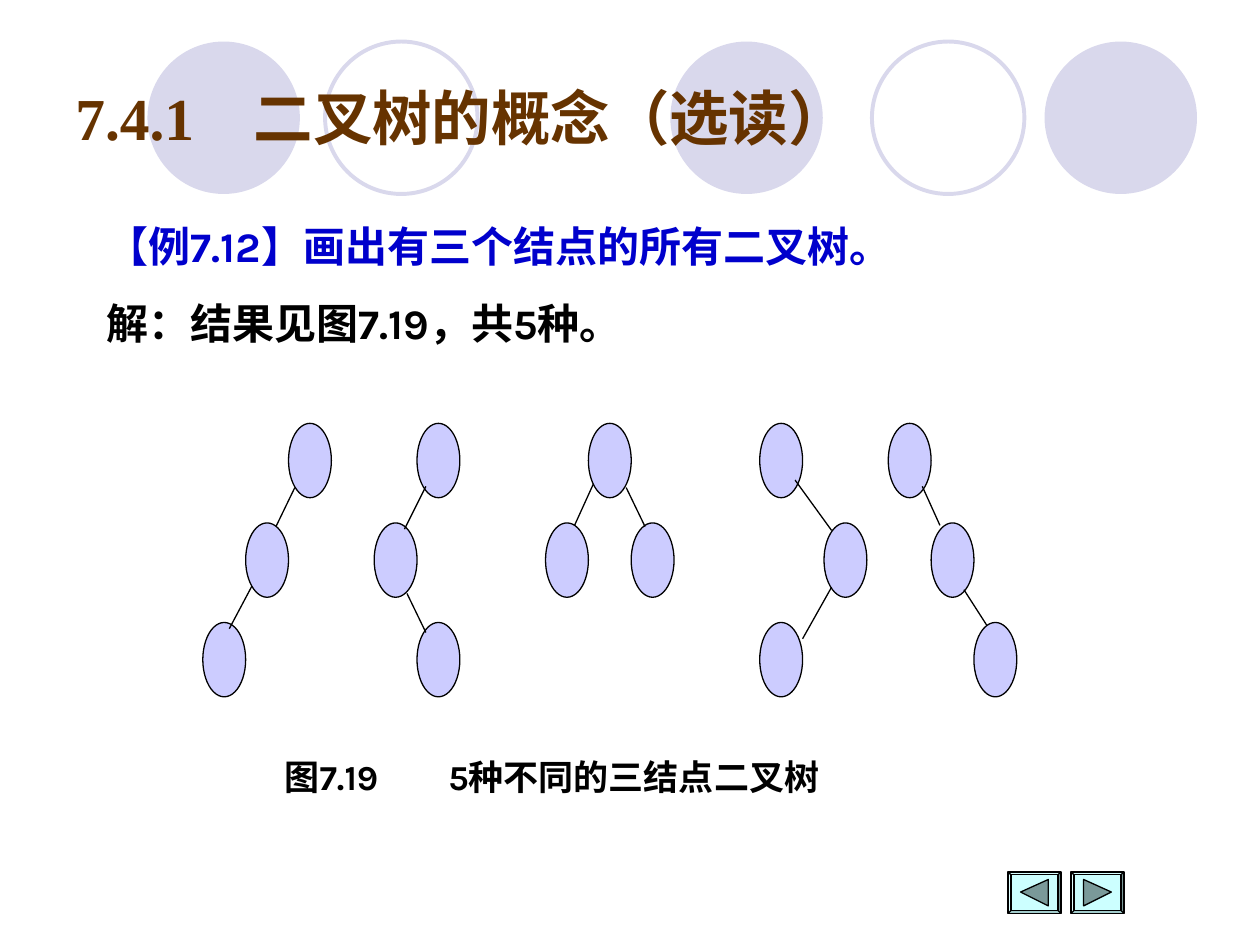
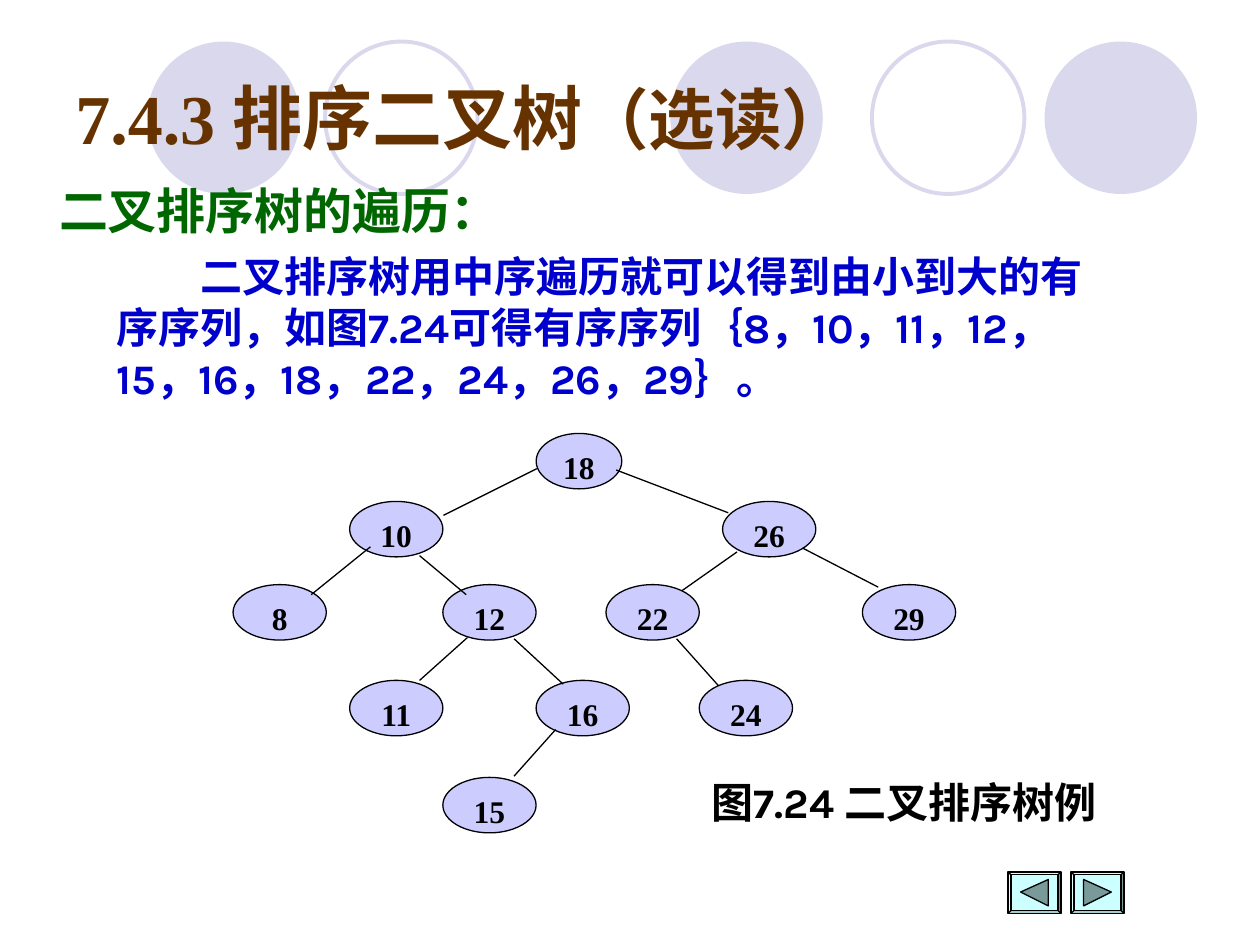
import itertools

import lxml.etree
import pptx
import pptx.dml.color
import pptx.enum.shapes
import pptx.enum.text
import pptx.oxml.ns
import pptx.util

RGBColor = pptx.dml.color.RGBColor
SHAPE = pptx.enum.shapes.MSO_SHAPE
ANCHOR = pptx.enum.text.MSO_ANCHOR
ALIGN = pptx.enum.text.PP_ALIGN

# Shared look
LAVENDER = RGBColor(0xD9, 0xD8, 0xEC)
NODE_FILL = RGBColor(0xCC, 0xCC, 0xFF)
BUTTON_FILL = RGBColor(0xCC, 0xFF, 0xFF)
ARROW_FILL = RGBColor(0x7A, 0x99, 0x99)
BROWN = RGBColor(0x66, 0x33, 0x00)
BLUE = RGBColor(0x00, 0x00, 0xCC)
GREEN = RGBColor(0x00, 0x66, 0x00)
BLACK = RGBColor(0x00, 0x00, 0x00)
SERIF, SANS, DIGITS = "Times New Roman", "Arial", "Karla"
LINE_HEIGHT = 1.21

# The slide is a grid of 10 columns and 7.5 rows
COLUMNS, ROWS = 10, 7.5
WIDTH, HEIGHT = pptx.util.Inches(10), pptx.util.Inches(7.5)

# Header circles: left column and whether filled
CIRCLES = [(1.17, True), (2.58, False), (5.32, True), (6.92, False), (8.29, True)]

# Five trees of three nodes: (column, row) on the tree grid
SMALL_NODES = [
    (2, 0), (1, 1), (0, 2),
    (5, 0), (4, 1), (5, 2),
    (9, 0), (8, 1), (10, 1),
    (13, 0), (14.5, 1), (13, 2),
    (16, 0), (17, 1), (18, 2),
]
SMALL_EDGES = [
    (2.34, 3.87, 2.19, 4.18), (2, 4.65, 1.82, 4.99),
    (3.38, 3.86, 3.21, 4.2), (3.38, 5.02, 3.23, 4.71),
    (4.71, 3.84, 4.56, 4.17), (4.97, 3.87, 5.12, 4.18),
    (6.31, 3.81, 6.6, 4.21), (6.6, 4.66, 6.37, 5.07),
    (7.32, 3.86, 7.46, 4.17), (7.65, 4.68, 7.83, 4.96),
]

# Search tree: number -> (column, level)
SEARCH_LEVELS = [3.44, 3.98, 4.64, 5.4, 6.17]
SEARCH_NODES = {
    18: (13, 0), 10: (5, 1), 26: (21, 1),
    8: (0, 2), 12: (9, 2), 22: (16, 2), 29: (27, 2),
    11: (5, 3), 16: (13, 3), 24: (20, 3), 15: (9, 4),
}
SEARCH_EDGES = [
    (3.52, 4.09, 4.26, 3.72), (2.47, 4.72, 2.94, 4.34),
    (3.33, 5.4, 3.71, 5.06), (4.08, 6.16, 4.41, 5.79),
    (3.33, 4.41, 3.7, 4.72), (4.08, 5.07, 4.47, 5.43),
    (4.89, 3.73, 5.78, 4.07), (6.37, 4.35, 6.97, 4.66),
    (5.41, 4.69, 5.85, 4.38), (5.37, 5.07, 5.7, 5.44),
]


def across(columns):
    return int(WIDTH * columns / COLUMNS)


def down(rows):
    return int(HEIGHT * rows / ROWS)


def place(left, top, width, height):
    return across(left), down(top), across(width), down(height)


def add_span(para, text, size, color, font):
    span = para.add_run()
    span.text = text
    span.font.name = font
    span.font.size = pptx.util.Pt(size)
    span.font.bold = True
    span.font.color.rgb = color


def add_mixed_text(para, text, size, color, font=SERIF, digit_font=DIGITS):
    """Set numbers in their own font, run by run."""
    para.line_spacing = pptx.util.Pt(round(size * LINE_HEIGHT))
    for numeric, letters in itertools.groupby(text, lambda c: c in "0123456789."):
        add_span(para, "".join(letters), size, color, digit_font if numeric else font)


def add_box(page, area, wrap=True, anchor=ANCHOR.TOP):
    """Return the first paragraph of a new text box and its frame."""
    frame = page.shapes.add_textbox(*place(*area)).text_frame
    frame.word_wrap = wrap
    frame.vertical_anchor = anchor
    return frame.paragraphs[0], frame


def paint(shape, fill, line, weight=0.75):
    shape.shadow.inherit = False
    if fill is None:
        shape.fill.background()
    else:
        shape.fill.solid()
        shape.fill.fore_color.rgb = fill
    if line is None:
        shape.line.fill.background()
    else:
        shape.line.color.rgb = line
        shape.line.width = pptx.util.Pt(weight)


def add_node(page, left, top, width, height, label=""):
    node = page.shapes.add_shape(SHAPE.OVAL, *place(left, top, width, height))
    paint(node, NODE_FILL, BLACK)
    if label:
        node.text_frame.vertical_anchor = ANCHOR.TOP
        para = node.text_frame.paragraphs[0]
        para.alignment = ALIGN.CENTER
        add_span(para, label, 18, BLACK, SERIF)


def add_edges(page, edges):
    for x1, y1, x2, y2 in edges:
        edge = page.shapes.add_connector(
            pptx.enum.shapes.MSO_CONNECTOR.STRAIGHT,
            across(x1), down(y1), across(x2), down(y2))
        edge.line.color.rgb = BLACK
        edge.line.width = pptx.util.Pt(0.75)
        lxml.etree.SubElement(edge._element.spPr, pptx.oxml.ns.qn("a:effectLst"))


def add_button(page, left, tip, base):
    """Bevelled button with a triangle from its base to its tip."""
    top = 6.92
    button = page.shapes.add_shape(SHAPE.BEVEL, *place(left, top, 0.42, 0.33))
    button.adjustments[0] = 0.07
    paint(button, BUTTON_FILL, BLACK)
    builder = page.shapes.build_freeform(across(left + tip), down(top + 0.16))
    builder.add_line_segments([
        (across(left + base), down(top + 0.06)),
        (across(left + base), down(top + 0.27))])
    paint(builder.convert_to_shape(), ARROW_FILL, BLACK)


def add_page(deck, title_parts):
    """Page with header circles, title and navigation buttons."""
    page = deck.slides.add_slide(deck.slide_layouts[6])
    for left, filled in CIRCLES:
        circle = page.shapes.add_shape(SHAPE.OVAL, *place(left, 0.33, 1.21, 1.21))
        paint(circle, LAVENDER if filled else None, None if filled else LAVENDER, 2.25)
    para, _ = add_box(page, (0.5, 0.3, 9, 1.25), anchor=ANCHOR.MIDDLE)
    for text, size in title_parts:
        add_span(para, text, size, BROWN, SERIF)
    add_button(page, 8, 0.1, 0.32)
    add_button(page, 8.5, 0.32, 0.1)
    return page


def add_tab_stop(para, position):
    stops = lxml.etree.SubElement(
        para._p.get_or_add_pPr(), pptx.oxml.ns.qn("a:tabLst"))
    lxml.etree.SubElement(
        stops, pptx.oxml.ns.qn("a:tab"), pos=str(across(position)), algn="l")


def build_three_node_page(deck):
    page = add_page(deck, [("7.4.1　二叉树的概念（选读）", 34)])

    # Example and answer
    question, frame = add_box(page, (0.75, 1.7, 8.58, 1.11))
    add_mixed_text(question, "【例7.12】画出有三个结点的所有二叉树。", 24, BLUE)
    answer = frame.add_paragraph()
    answer.space_before = pptx.util.Pt(15)
    add_mixed_text(answer, "解：结果见图7.19，共5种。", 24, BLACK)
    question.alignment = answer.alignment = ALIGN.JUSTIFY

    # Trees
    node_width, level_gap = 0.34, 0.79
    for column, row in SMALL_NODES:
        add_node(page, 1.61 + column * node_width, 3.36 + row * level_gap,
                 node_width, 0.59)
    add_edges(page, SMALL_EDGES)

    # Caption
    caption, _ = add_box(page, (2.16, 5.95, 5, 0.44))
    add_tab_stop(caption, 1.3)
    add_mixed_text(caption, "图7.19\t5种不同的三结点二叉树", 20, BLACK)


def build_search_tree_page(deck):
    page = add_page(deck, [("7.4.3 排序二叉树", 40), ("（选读）", 38)])

    # Heading and explanation
    heading, _ = add_box(page, (0.37, 1.38, 3.69, 0.57), wrap=False)
    add_mixed_text(heading, "二叉排序树的遍历：", 28, GREEN, SANS)
    body, _ = add_box(page, (0.83, 1.94, 8.17, 1.3))
    body._p.get_or_add_pPr().set("indent", str(pptx.util.Pt(48)))
    sequence = "，".join(str(number) for number in sorted(SEARCH_NODES))
    add_mixed_text(
        body,
        "二叉排序树用中序遍历就可以得到由小到大的有序序列，"
        f"如图7.24可得有序序列｛{sequence}｝。", 24, BLUE)

    # Tree
    node_width = 0.74
    for number, (column, level) in SEARCH_NODES.items():
        add_node(page, 1.85 + column * node_width / 4, SEARCH_LEVELS[level],
                 node_width if level else 0.68, 0.44, str(number))
    add_edges(page, SEARCH_EDGES)

    # Caption
    caption, _ = add_box(page, (5.55, 6.11, 3.62, 0.5))
    add_mixed_text(caption, "图7.24 二叉排序树例", 24, BLACK)


def main():
    deck = pptx.Presentation()
    deck.slide_width, deck.slide_height = WIDTH, HEIGHT
    build_three_node_page(deck)
    build_search_tree_page(deck)
    deck.save("out.pptx")


if __name__ == "__main__":
    main()
